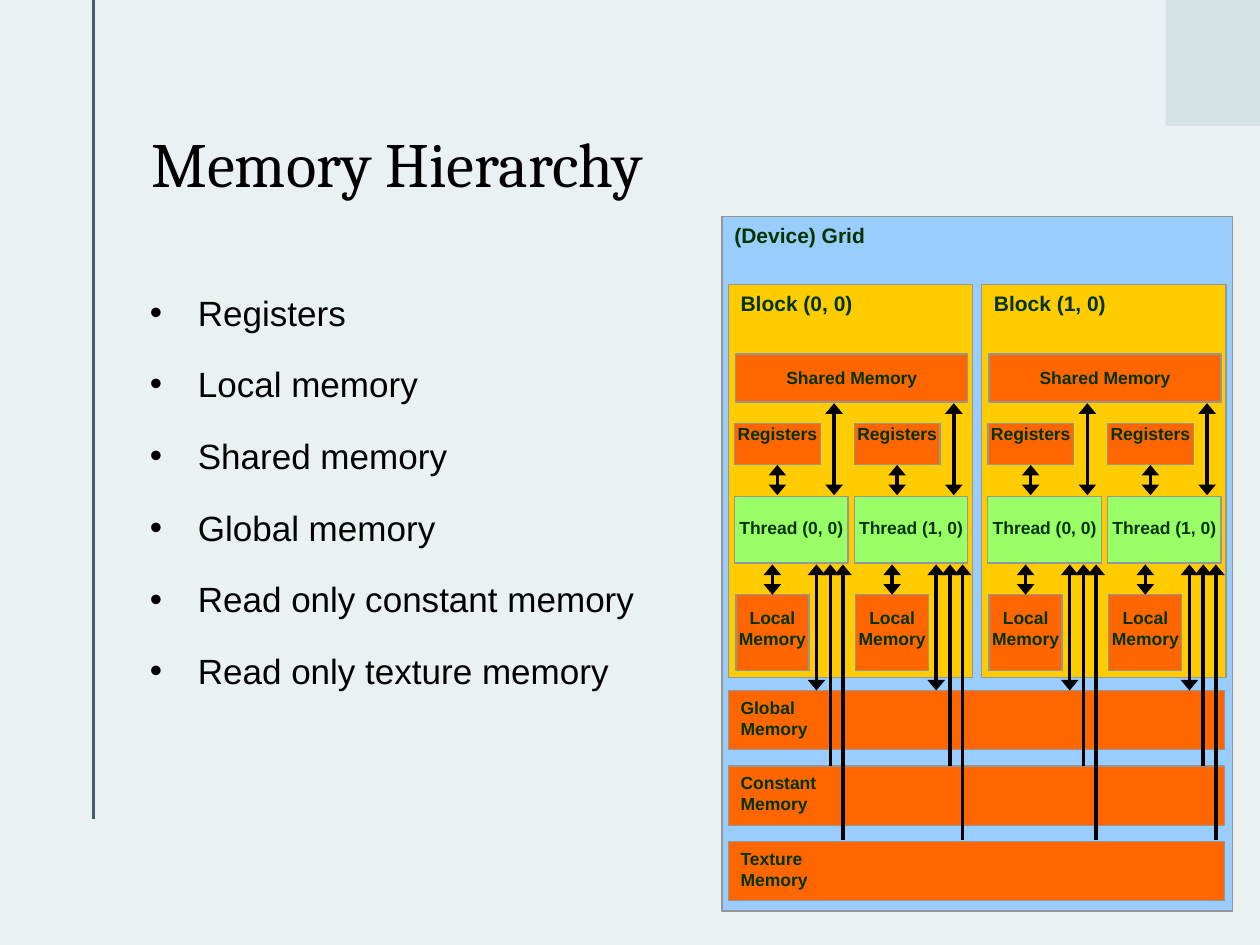
from dataclasses import dataclass

from lxml.etree import SubElement
from pptx import Presentation
from pptx.dml.color import RGBColor
from pptx.enum.shapes import MSO_CONNECTOR as Conn, MSO_SHAPE as Kind
from pptx.enum.text import MSO_ANCHOR as Anchor, PP_ALIGN as Align
from pptx.oxml.ns import qn
from pptx.util import Inches, Pt


@dataclass(frozen=True)
class Theme:
    back: str = "EAF1F2"
    rule: str = "40636A"
    tab: str = "D5E3E5"
    grid: str = "99CCFF"
    block: str = "FFCC00"
    store: str = "FF6600"
    thread: str = "99FF66"
    edge: str = "969696"
    label: str = "003300"
    ink: str = "000000"
    title: int = 36
    body: int = 20
    head: int = 12
    small: int = 10
    sans: str = "Arial"
    serif: str = "Cambria"


def rgb(code):
    return RGBColor.from_string(code)


def write(frame, text, *, size, color, font, bold=False, align=Align.LEFT,
          anchor=Anchor.TOP, inset=(0.1, 0.05, 0.1, 0.05), lead=None,
          before=0, after=0, bullet=None, indent=0):
    """Fill a text frame, one paragraph for each line of text."""
    frame.word_wrap = True
    frame.vertical_anchor = anchor
    (frame.margin_left, frame.margin_top,
     frame.margin_right, frame.margin_bottom) = map(Inches, inset)
    for i, line in enumerate(text.split("\n")):
        para = frame.add_paragraph() if i else frame.paragraphs[0]
        para.text = line
        para.alignment = align
        para.line_spacing = lead
        para.space_before = Pt(before if i else 0)
        para.space_after = Pt(after)
        if bullet:
            props = para._p.get_or_add_pPr()
            props.set("marL", str(Inches(indent)))
            props.set("indent", str(-Inches(indent)))
            SubElement(props, qn("a:buFont"), typeface=font)
            SubElement(props, qn("a:buChar"), char=bullet)
        face = para.font
        face.size, face.name, face.bold = Pt(size), font, bold
        face.color.rgb = rgb(color)


class Deck:
    def __init__(self, theme):
        self.theme = theme
        self.show = Presentation()
        self.show.slide_width, self.show.slide_height = Inches(10), Inches(7.5)
        self.slide = self.show.slides.add_slide(self.show.slide_layouts[6])
        fill = self.slide.background.fill
        fill.solid()
        fill.fore_color.rgb = rgb(theme.back)

    def rect(self, x, y, w, h, fill, edge=None):
        shape = self.slide.shapes.add_shape(
            Kind.RECTANGLE, *map(Inches, (x, y, w, h)))
        shape.shadow.inherit = False
        shape.fill.solid()
        shape.fill.fore_color.rgb = rgb(fill)
        if edge:
            shape.line.color.rgb = rgb(edge)
            shape.line.width = Pt(0.75)
        else:
            shape.line.fill.background()
        return shape

    def box(self, x, y, w, h, fill, text, size, **form):
        """Draw an outlined rectangle with a bold label."""
        t = self.theme
        shape = self.rect(x, y, w, h, fill, t.edge)
        write(shape.text_frame, text, size=size, color=t.label,
              font=t.sans, bold=True, **form)

    def cell(self, x, y, w, h, fill, text, top):
        """Draw a box with a centred small label, top inches down."""
        self.box(x, y, w, h, fill, text, self.theme.small,
                 align=Align.CENTER, inset=(0, top, 0, 0))

    def line(self, x, y1, y2, color, width, ends=()):
        """Draw an upright line; ends holds headEnd and tailEnd as wanted."""
        link = self.slide.shapes.add_connector(
            Conn.STRAIGHT, *map(Inches, (x, y1, x, y2)))
        link.line.color.rgb = rgb(color)
        link.line.width = Pt(width)
        for end in ends:
            SubElement(link.line._get_or_add_ln(), qn("a:" + end),
                       type="triangle", w="lg", len="med")
        SubElement(link._element.spPr, qn("a:effectLst"))

    def arrow(self, x, y1, y2, both=True):
        ends = ("headEnd", "tailEnd") if both else ("headEnd",)
        self.line(x, y1, y2, self.theme.ink, 2, ends)

    def text(self, x, y, w, h, text, **form):
        shape = self.slide.shapes.add_textbox(*map(Inches, (x, y, w, h)))
        write(shape.text_frame, text, color=self.theme.ink, **form)

    def thread(self, x, name):
        """Draw one thread with its own memories and its arrows."""
        t = self.theme
        self.cell(x + 0.01, 4.72, 0.58, 0.6, t.store, "Local\nMemory", 0.1)
        self.cell(x, 3.94, 0.9, 0.53, t.thread, name, 0.16)
        self.cell(x, 3.36, 0.68, 0.33, t.store, "Registers", 0)
        self.arrow(x + 0.79, 3.93, 3.2)
        self.arrow(x + 0.34, 3.93, 3.69)
        self.arrow(x + 0.3, 4.72, 4.48)
        self.arrow(x + 0.65, 4.48, 5.48)
        self.arrow(x + 0.86, 4.48, 6.67, both=False)
        self.arrow(x + 0.76, 4.48, 6.08, both=False)

    def block(self, x, name):
        t = self.theme
        self.box(x, 2.26, 1.94, 3.12, t.block, name, t.head)
        self.cell(x + 0.06, 2.81, 1.84, 0.38, t.store, "Shared Memory", 0.1)
        for i in range(2):
            self.thread(x + 0.05 + 0.95 * i, f"Thread ({i}, 0)")


def main():
    t = Theme()
    deck = Deck(t)
    deck.line(0.74, 0, 6.5, t.rule, 1.5)
    deck.rect(9.25, 0, 0.75, 1, t.tab)

    deck.box(5.73, 1.72, 4.05, 5.51, t.grid, "(Device) Grid", t.head)
    for i, name in enumerate(("Global", "Constant", "Texture")):
        deck.box(5.78, 5.48 + 0.6 * i, 3.94, 0.47, t.store,
                 f"{name}\nMemory", t.small)
    for i in range(2):
        deck.block(5.78 + 2.01 * i, f"Block ({i}, 0)")

    deck.text(1.2, 0.55, 7.51, 1.56, "Memory Hierarchy", size=t.title,
              font=t.serif, anchor=Anchor.MIDDLE, lead=0.9,
              inset=(0, 0.05, 0.1, 0.05))
    kinds = ("Registers", "Local memory", "Shared memory", "Global memory",
             "Read only constant memory", "Read only texture memory")
    deck.text(1.19, 2.31, 7.01, 4.51, "\n".join(kinds), size=t.body,
              font=t.sans, inset=(0, 0, 0, 0), before=5, after=12,
              bullet="•", indent=0.38)
    deck.show.save("out.pptx")


if __name__ == "__main__":
    main()
